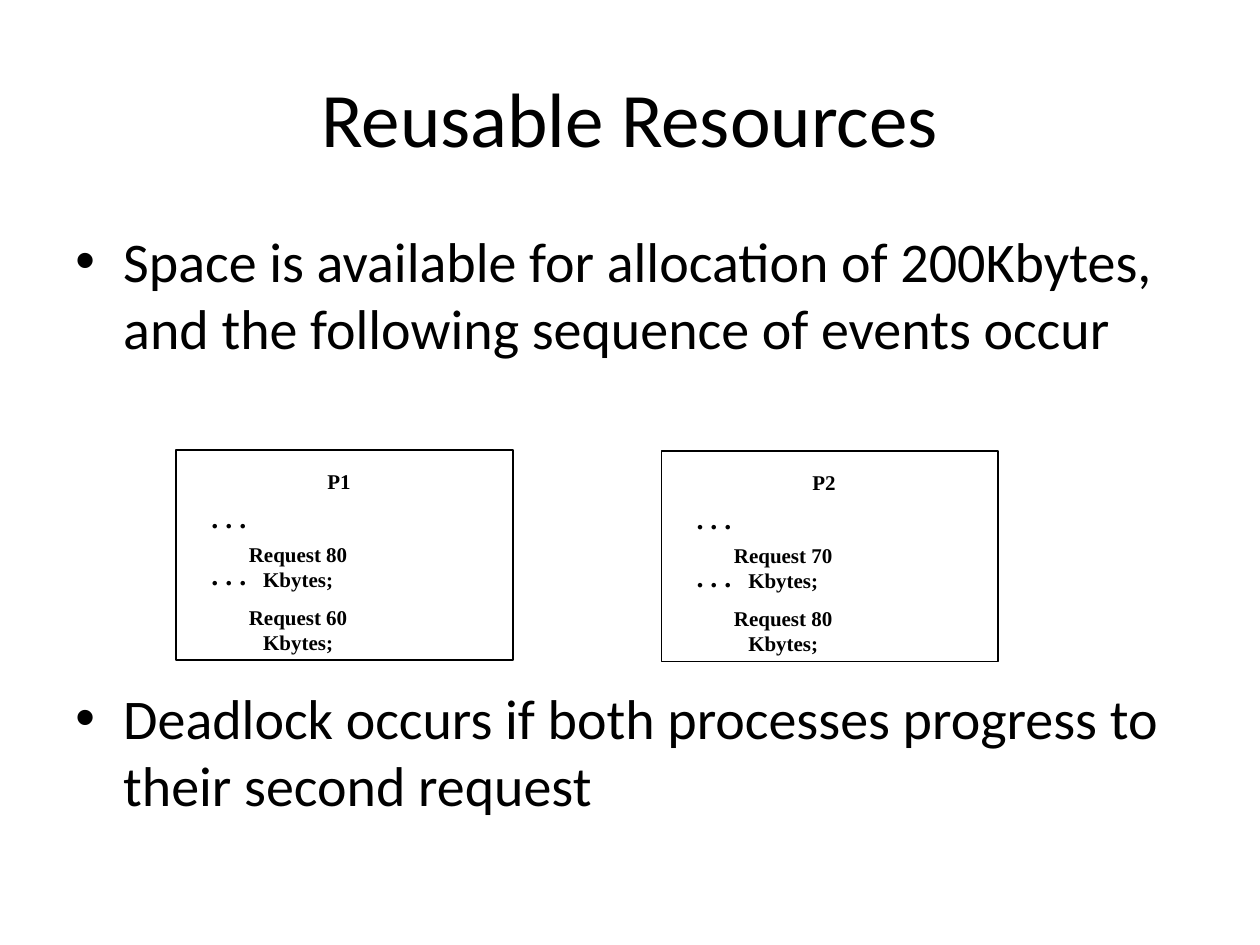
from pptx import Presentation
from pptx import util as u
from pptx.dml.color import RGBColor
from pptx.enum import shapes, text
from lxml import etree

HUE = {"ink": "000000", "paper": "FFFFFF"}
SANS, SERIF = "Calibri", "Times New Roman"
WIDE, HIGH = 10, 7.5
NS = "http://schemas.openxmlformats.org/drawingml/2006/main"


def color(name):
    return RGBColor.from_string(HUE[name])


def place(item, box):
    item.left, item.top, item.width, item.height = map(u.Inches, box)


def write(frame, words, size=12, font=SERIF, bold=False, align="CENTER",
          anchor="TOP", inset=0.1, wrap=True):
    """Fill a text frame, one paragraph per entry of words."""
    frame.word_wrap = wrap
    frame.auto_size = text.MSO_AUTO_SIZE.NONE
    frame.vertical_anchor = getattr(text.MSO_ANCHOR, anchor)
    frame.margin_left = frame.margin_right = u.Inches(inset)
    frame.margin_top = frame.margin_bottom = u.Inches(0.05)
    for i, line in enumerate(words):
        para = frame.add_paragraph() if i else frame.paragraphs[0]
        para.alignment = getattr(text.PP_ALIGN, align)
        run = para.add_run()
        run.text = line
        run.font.size, run.font.name = u.Pt(size), font
        run.font.bold, run.font.color.rgb = bold, color("ink")
    return frame.paragraphs


def label(slide, box, words, **form):
    item = slide.shapes.add_textbox(*map(u.Inches, box))
    return write(item.text_frame, words, **form)


def head(slide, box, words):
    title = slide.shapes.title
    place(title, box)
    write(title.text_frame, [words], size=44, font=SANS, anchor="MIDDLE")


def body(slide, box, points, gap):
    """Bulleted points, with a gap between them for the panels."""
    paras = label(slide, box, points, size=32, font=SANS, align="LEFT")
    for i, para in enumerate(paras):
        para.space_before = u.Pt(gap if i else 0)
        props = para._p.get_or_add_pPr()
        props.set("marL", str(u.Inches(0.38)))
        props.set("indent", str(-u.Inches(0.38)))
        etree.SubElement(props, f"{{{NS}}}buFont", typeface="Arial")
        etree.SubElement(props, f"{{{NS}}}buChar", char="•")


def panel(slide, box, name, asks):
    """One process: its frame, its name and its requests."""
    left, top, wide, high = box
    rect = slide.shapes.add_shape(shapes.MSO_SHAPE.RECTANGLE, *map(u.Inches, box))
    rect.shadow.inherit = False
    rect.fill.solid()
    rect.fill.fore_color.rgb = color("paper")
    rect.line.color.rgb = color("ink")
    rect.line.width = u.Pt(1)

    label(slide, (left + 0.41 * wide, top + 0.06 * high, 0.39, 0.3), [name],
          bold=True, wrap=False)
    edge = left + 0.066 * wide
    for i in range(2):
        label(slide, (edge, top + (0.21 + 0.275 * i) * high, 0.48, 0.37),
              [". . ."], size=16, bold=True, wrap=False)
    # Wide side insets break each request after its number
    for i, ask in enumerate(asks):
        label(slide, (edge, top + (0.405 + 0.3 * i) * high, 1.58, 0.3),
              [f"Request {ask} Kbytes;"], bold=True, inset=0.25)


def main():
    deck = Presentation()
    deck.slide_width, deck.slide_height = u.Inches(WIDE), u.Inches(HIGH)
    slide = deck.slides.add_slide(deck.slide_layouts[5])
    edge, span = 0.05 * WIDE, 0.9 * WIDE

    head(slide, (edge, 0.04 * HIGH, span, 1.25), "Reusable Resources")
    body(slide, (edge, 1.75, span, 0.66 * HIGH), [
        "Space is available for allocation of 200Kbytes, "
        "and the following sequence of events occur",
        "Deadlock occurs if both processes progress to their second request",
    ], gap=184)

    # The two processes side by side
    for i, asks in enumerate([(80, 60), (70, 80)]):
        box = (1.4 + 3.85 * i, 3.57 + 0.01 * i, 2.67, 1.67)
        panel(slide, box, f"P{i + 1}", asks)

    deck.save("out.pptx")


if __name__ == "__main__":
    main()
